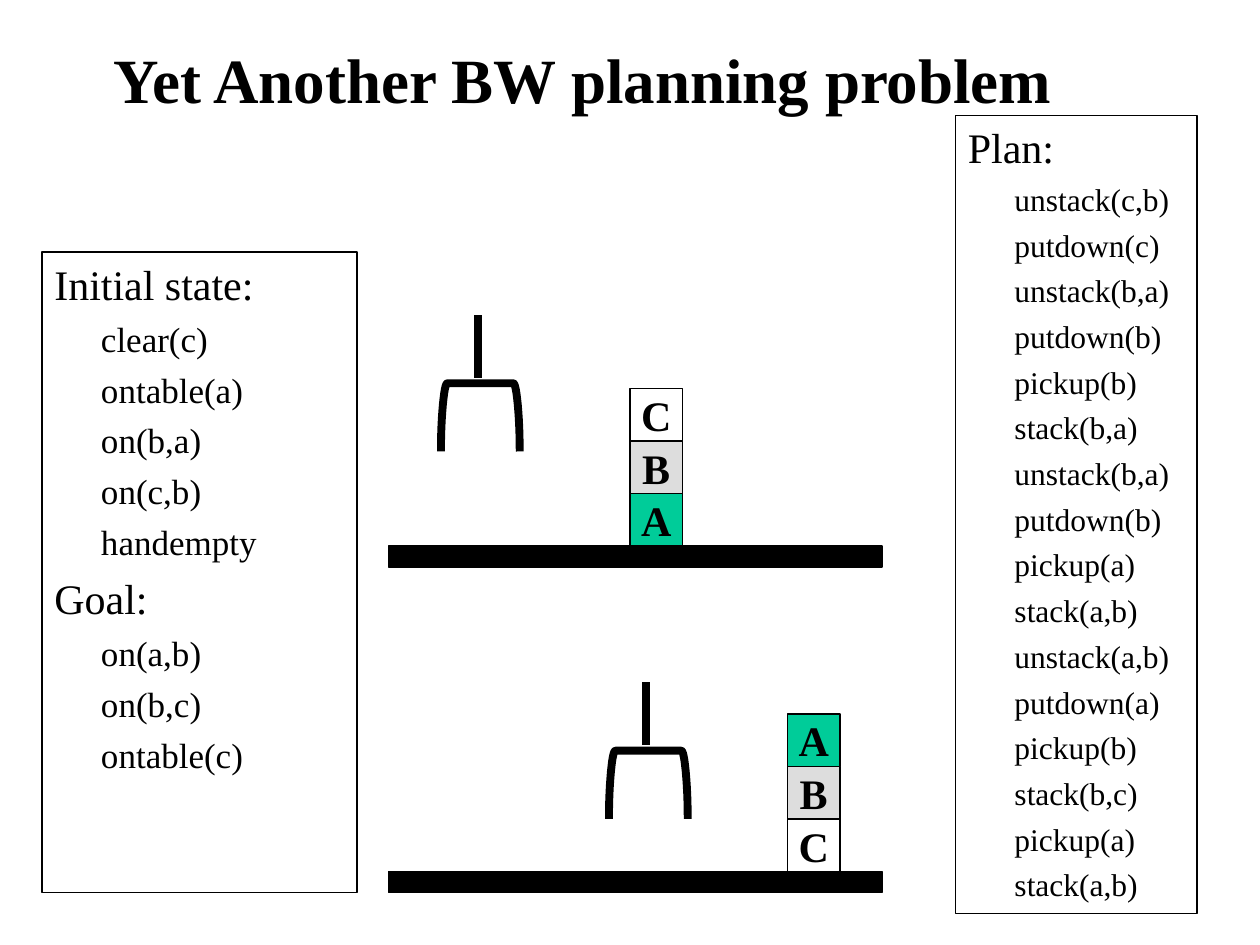
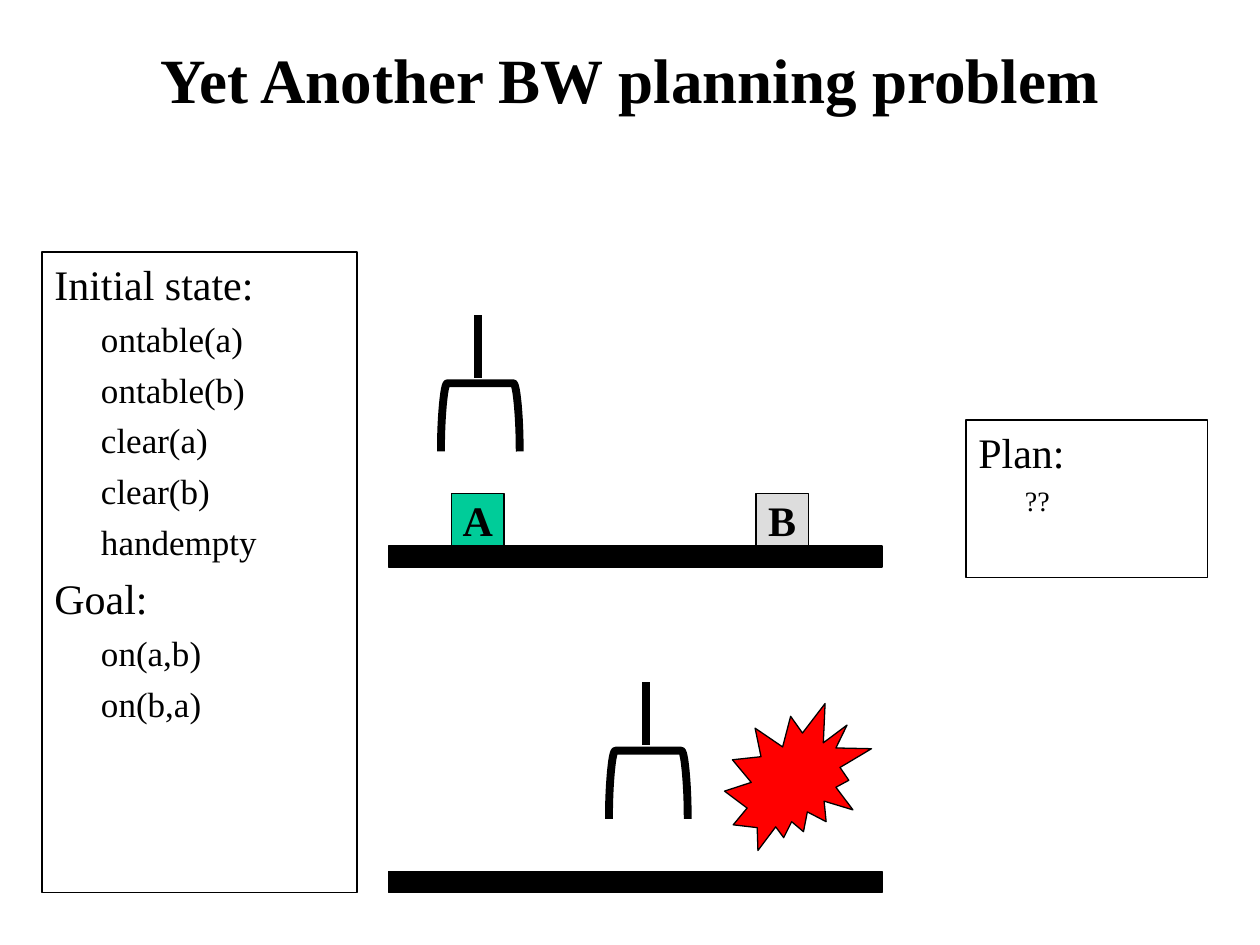
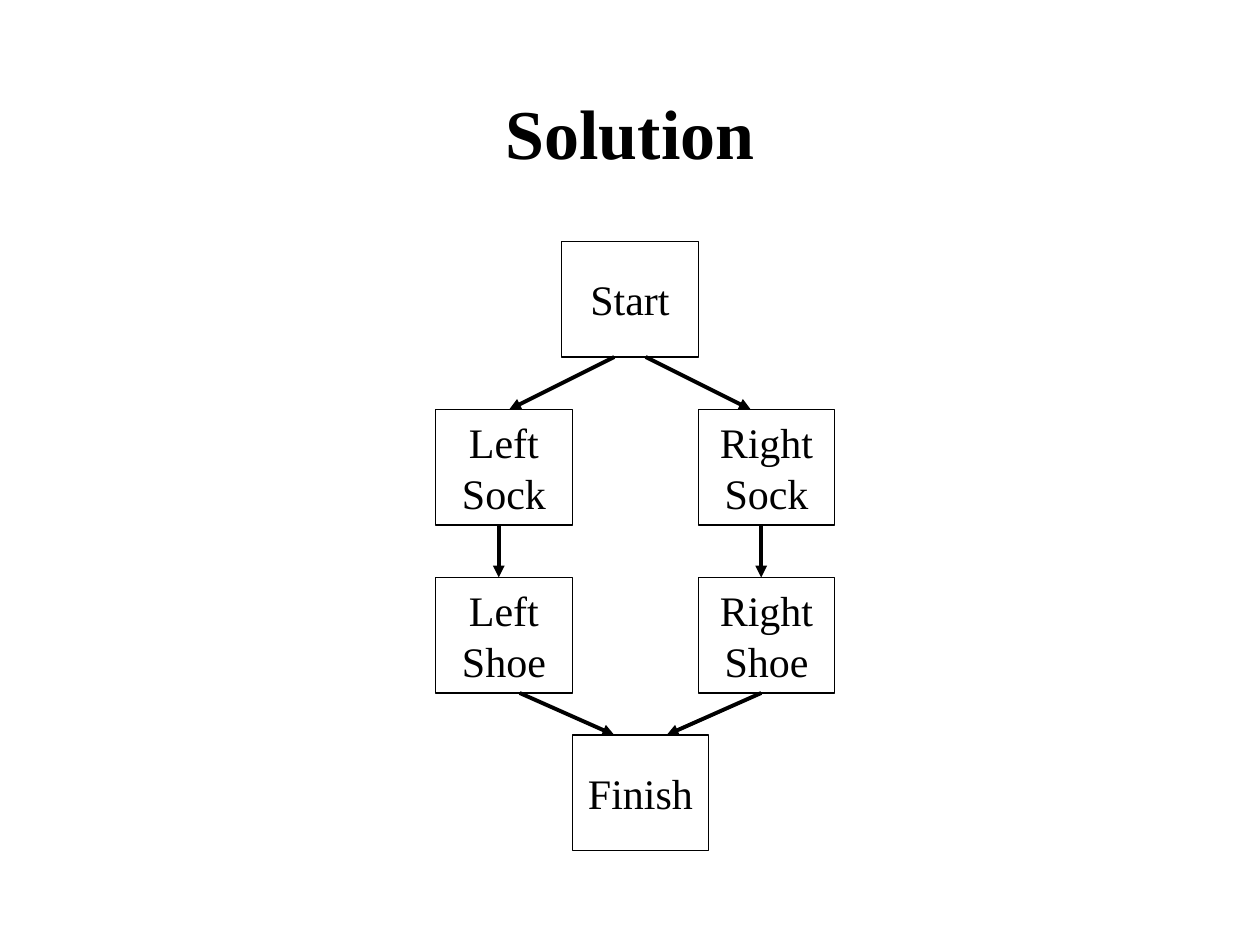
import dataclasses
import typing

import pptx
import pptx.dml.color
import pptx.enum.shapes
import pptx.enum.text
import pptx.oxml
import pptx.oxml.ns
import pptx.util

CELL = pptx.util.Inches(1) // 12
COLS, ROWS = 120, 90
FONT = "Times New Roman"
HUES = {"ink": "000000", "paper": "FFFFFF", "green": "00CC99", "grey": "DDDDDD", "red": "FF0000"}
BLOCKS = {"A": "green", "B": "grey", "C": None}
KINDS = pptx.enum.shapes.MSO_SHAPE
MIDDLE = pptx.enum.text.MSO_ANCHOR.MIDDLE
TOP = pptx.enum.text.MSO_ANCHOR.TOP
CENTER = pptx.enum.text.PP_ALIGN.CENTER
LEFT = pptx.enum.text.PP_ALIGN.LEFT
SIDE = 5
FLOORS = (52, 83)
CLAWS = ((45.5, 30), (61.5, 65))
PROBLEM = "Yet Another BW planning problem"


@dataclasses.dataclass(frozen=True)
class Box:
    col: float
    row: float
    wide: float
    high: float

    def spans(self) -> list[int]:
        return [cells(n) for n in (self.col, self.row, self.wide, self.high)]


@dataclasses.dataclass(frozen=True)
class Panel:
    box: Box
    size: int
    groups: dict[str, list[str]]


@dataclasses.dataclass(frozen=True)
class Stack:
    col: float
    floor: float
    names: str


@dataclasses.dataclass(frozen=True)
class World:
    title: Box
    state: Panel
    plan: Panel
    stacks: list[Stack]
    burst: Box | None = None


@dataclasses.dataclass(frozen=True)
class Step:
    label: str
    col: float
    row: float


@dataclasses.dataclass(frozen=True)
class Arrow:
    start: tuple[float, float]
    end: tuple[float, float]


STATE = Box(4, 24, 30, 61)
WORLDS = [
    World(
        Box(0, 0, 111, 15),
        Panel(STATE, 20, {
            "Initial state:": ["clear(c)", "ontable(a)", "on(b,a)", "on(c,b)", "handempty"],
            "Goal:": ["on(a,b)", "on(b,c)", "ontable(c)"],
        }),
        Panel(Box(91, 11, 23, 76), 18, {
            "Plan:": [
                "unstack(c,b)", "putdown(c)", "unstack(b,a)", "putdown(b)",
                "pickup(b)", "stack(b,a)", "unstack(b,a)", "putdown(b)",
                "pickup(a)", "stack(a,b)", "unstack(a,b)", "putdown(a)",
                "pickup(b)", "stack(b,c)", "pickup(a)", "stack(a,b)",
            ],
        }),
        [Stack(60, FLOORS[0], "ABC"), Stack(75, FLOORS[1], "CBA")],
    ),
    World(
        Box(9, 0, 102, 15),
        Panel(STATE, 20, {
            "Initial state:": ["ontable(a)", "ontable(b)", "clear(a)", "clear(b)", "handempty"],
            "Goal:": ["on(a,b)", "on(b,a)"],
        }),
        Panel(Box(92, 40, 23, 15), 16, {"Plan:": ["??"]}),
        [Stack(43, FLOORS[0], "A"), Stack(72, FLOORS[0], "B")],
        Box(69, 67, 14, 14),
    ),
]
STEPS = [
    Step("Start", 53.5, 23),
    Step("Left\nSock", 41.5, 39),
    Step("Right\nSock", 66.5, 39),
    Step("Right\nShoe", 66.5, 55),
    Step("Left\nShoe", 41.5, 55),
    Step("Finish", 54.5, 70),
]
ARROWS = [
    Arrow((58.5, 34), (48.5, 39)),
    Arrow((61.5, 34), (71.5, 39)),
    Arrow((47.5, 50), (47.5, 55)),
    Arrow((72.5, 50), (72.5, 55)),
    Arrow((49.5, 66), (58.5, 70)),
    Arrow((72.5, 66), (63.5, 70)),
]


def cells(count: float) -> int:
    return round(count * CELL)


def tint(name: str) -> pptx.dml.color.RGBColor:
    return pptx.dml.color.RGBColor.from_string(HUES[name])


def apply(thing: typing.Any, traits: dict[str, typing.Any]) -> None:
    for key, value in traits.items():
        setattr(thing, key, value)


def stroke(line: typing.Any, width: float) -> None:
    line.color.rgb = tint("ink")
    line.width = pptx.util.Pt(width)


def write(par: typing.Any, text: str, size: float, bold: bool = False) -> None:
    par.text = text
    for run in par.runs:
        apply(run.font, {"name": FONT, "size": pptx.util.Pt(size), "bold": bold})
        run.font.color.rgb = tint("ink")


def frame(shape: typing.Any, wrap: bool, anchor: typing.Any) -> typing.Any:
    apply(shape.text_frame, {"word_wrap": wrap, "vertical_anchor": anchor})
    return shape.text_frame


def form(slide: typing.Any, box: Box, fill: str | None, kind: typing.Any = KINDS.RECTANGLE) -> typing.Any:
    shape = slide.shapes.add_shape(kind, *box.spans())
    shape.shadow.inherit = False
    if fill:
        shape.fill.solid()
        shape.fill.fore_color.rgb = tint(fill)
    else:
        shape.fill.background()
    stroke(shape.line, 0.75)
    return shape


def label(slide: typing.Any, box: Box, text: str, fill: str | None, bold: bool) -> None:
    par = frame(form(slide, box, fill), False, MIDDLE).paragraphs[0]
    par.alignment = CENTER
    write(par, text, 24, bold)


def title(slide: typing.Any, box: Box, text: str, size: int) -> None:
    par = frame(slide.shapes.add_textbox(*box.spans()), True, MIDDLE).paragraphs[0]
    par.alignment = CENTER
    write(par, text, size, True)


def panel(slide: typing.Any, item: Panel) -> None:
    body = frame(form(slide, item.box, None), True, TOP)
    lines = []
    for head, facts in item.groups.items():
        lines.append((head, 0, 24, 0.25))
        lines += [(fact, 1, item.size, 0.62) for fact in facts]
    for spot, (text, level, size, margin) in enumerate(lines):
        par = body.add_paragraph() if spot else body.paragraphs[0]
        apply(par, {"level": level, "alignment": LEFT, "space_before": pptx.util.Pt(size / 4)})
        props = par._p.get_or_add_pPr()
        props.set("marL", str(pptx.util.Inches(margin)))
        props.set("indent", str(pptx.util.Inches(-0.25)))
        write(par, text, size)


def link(slide: typing.Any, arrow: Arrow, width: float, head: bool = False) -> None:
    ends = [cells(n) for n in arrow.start + arrow.end]
    line = slide.shapes.add_connector(pptx.enum.shapes.MSO_CONNECTOR.STRAIGHT, *ends)
    stroke(line.line, width)
    name = pptx.oxml.ns.qn
    props = line.element.spPr
    if head:
        props.find(name("a:ln")).append(props.makeelement(name("a:tailEnd"), {"type": "triangle"}))
    props.append(props.makeelement(name("a:effectLst")))


def bend(points: list[tuple[float, float]], count: int = 12) -> list[tuple[float, float]]:
    curve = []
    for step in range(count + 1):
        t = step / count
        shares = ((1 - t) ** 3, 3 * t * (1 - t) ** 2, 3 * t * t * (1 - t), t ** 3)
        curve.append(tuple(sum(s * point[axis] for s, point in zip(shares, points)) for axis in (0, 1)))
    return curve


def claw(slide: typing.Any, col: float, row: float) -> None:
    mid, half, top, foot = col + 0.25, 3.75, row + 6.5, row + 13
    right = bend([
        (mid + half, foot), (mid + half, foot - 3.3),
        (mid + half - 0.3, top), (mid + half - 0.6, top),
    ])
    left = [(2 * mid - x, y) for x, y in reversed(right)]
    points = [(cells(x), cells(y)) for x, y in right + left]
    pen = slide.shapes.build_freeform(*points[0])
    pen.add_line_segments(points[1:], close=False)
    grip = pen.convert_to_shape()
    grip.shadow.inherit = False
    grip.fill.background()
    stroke(grip.line, 4.5)
    link(slide, Arrow((col, row), (col, row + 6)), 4.5)


def stack(slide: typing.Any, pile: Stack) -> None:
    for level, name in enumerate(pile.names, 1):
        box = Box(pile.col, pile.floor - level * SIDE, SIDE, SIDE)
        label(slide, box, name, BLOCKS[name], True)


def world(slide: typing.Any, scene: World) -> None:
    title(slide, scene.title, PROBLEM, 36)
    panel(slide, scene.state)
    for floor in FLOORS:
        form(slide, Box(37, floor, 47, 2), "ink")
    for pile in scene.stacks:
        stack(slide, pile)
    for col, row in CLAWS:
        claw(slide, col, row)
    panel(slide, scene.plan)
    if scene.burst:
        form(slide, scene.burst, "red", KINDS.EXPLOSION2)


def graph(slide: typing.Any) -> None:
    title(slide, Box(11, 5, 98, 15), "Solution", 40)
    for step in STEPS:
        label(slide, Box(step.col, step.row, 13, 11), step.label, "paper", False)
    for arrow in ARROWS:
        link(slide, arrow, 2.25, True)


def main() -> None:
    deck = pptx.Presentation()
    apply(deck, {"slide_width": cells(COLS), "slide_height": cells(ROWS)})
    blank = deck.slide_layouts[6]
    for scene in WORLDS:
        world(deck.slides.add_slide(blank), scene)
    graph(deck.slides.add_slide(blank))
    deck.save("out.pptx")


if __name__ == "__main__":
    main()
